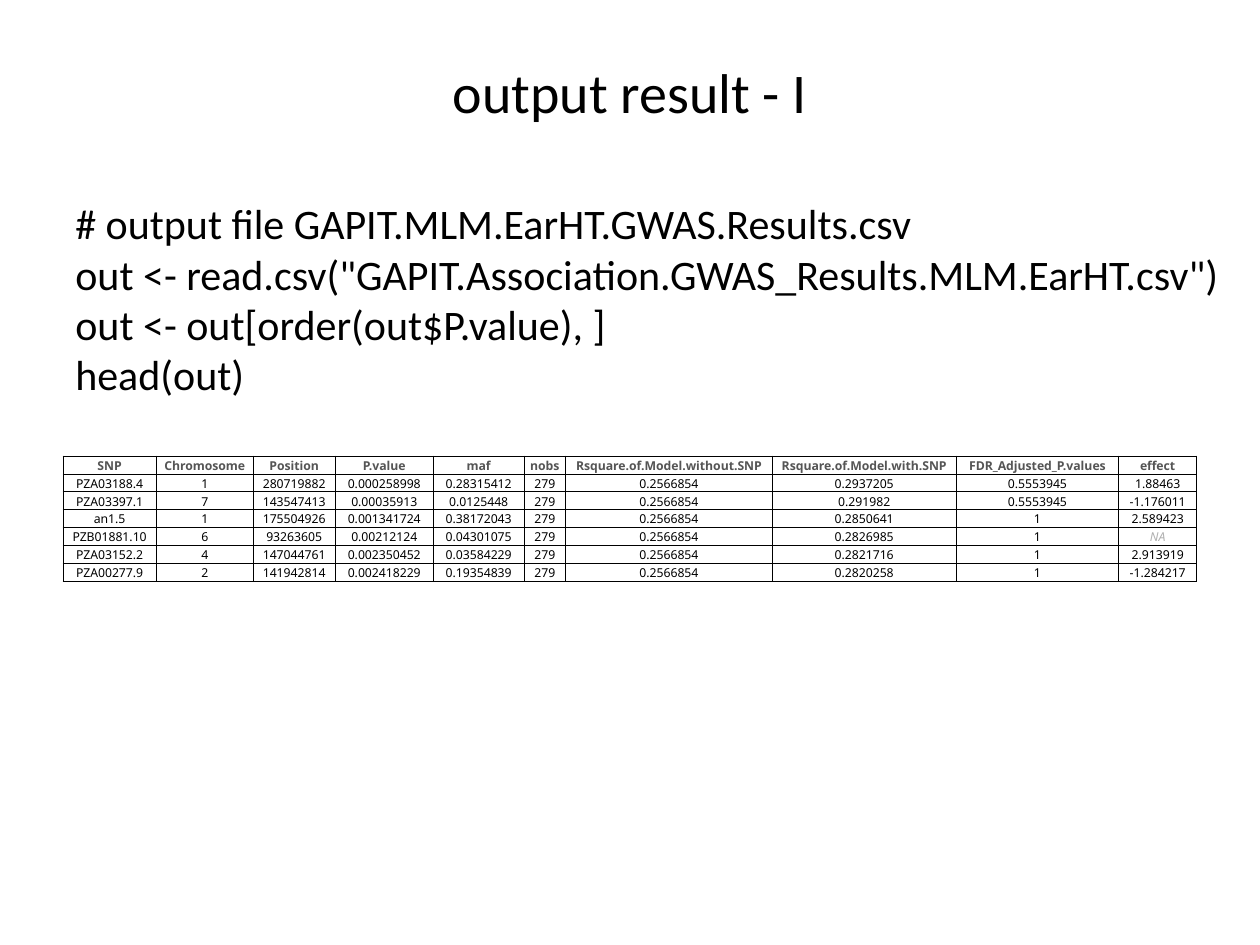
"""Build the slide that lists the top GWAS results."""
from dataclasses import dataclass

from lxml.etree import SubElement
from pptx import Presentation
from pptx.dml.color import RGBColor
from pptx.enum.text import MSO_ANCHOR as Anchor, MSO_AUTO_SIZE as AutoSize, PP_ALIGN as Align
from pptx.oxml.ns import qn
from pptx.util import Inches, Pt


@dataclass(frozen=True)
class TextStyle:
    """Font settings of one kind of text."""
    name: str
    size: float
    color: str = "000000"
    bold: bool = False
    italic: bool = False


@dataclass(frozen=True)
class Theme:
    """Type styles and line settings of the slide."""
    title: TextStyle = TextStyle("Calibri", 32)
    code: TextStyle = TextStyle("Calibri", 24)
    header: TextStyle = TextStyle("Noto Sans", 7, "555555", bold=True)
    value: TextStyle = TextStyle("Noto Sans", 7)
    missing: TextStyle = TextStyle("Noto Sans", 7, "B0B0B0", italic=True)
    border_color: str = "000000"
    border_width: float = 0.5


@dataclass(frozen=True)
class Column:
    """Heading and width in inches of a result column."""
    heading: str
    width: float


@dataclass(frozen=True)
class Box:
    """Position and size in inches."""
    left: float
    top: float
    width: float
    height: float

    def lengths(self) -> tuple:
        """Return left, top, width and height as lengths."""
        return tuple(map(Inches, (self.left, self.top, self.width, self.height)))


THEME = Theme()
TITLE_BOX = Box(0.5, 0.3, 9, 0.85)
CODE_BOX = Box(0.5, 1.52, 9.43, 1.72)
RESULTS_BOX = Box(0.5, 3.62, 9, 0.98)
CODE = (
    "# output file GAPIT.MLM.EarHT.GWAS.Results.csv",
    'out <- read.csv("GAPIT.Association.GWAS_Results.MLM.EarHT.csv")',
    "out <- out[order(out$P.value), ]",
    "head(out)",
)
COLUMNS = (
    Column("SNP", 0.74),
    Column("Chromosome", 0.77),
    Column("Position", 0.65),
    Column("P.value", 0.78),
    Column("maf", 0.72),
    Column("nobs", 0.33),
    Column("Rsquare.of.Model.without.SNP", 1.64),
    Column("Rsquare.of.Model.with.SNP", 1.46),
    Column("FDR_Adjusted_P.values", 1.29),
    Column("effect", 0.62),
)
RESULTS = """\
PZA03188.4 1 280719882 0.000258998 0.28315412 279 0.2566854 0.2937205 0.5553945 1.88463
PZA03397.1 7 143547413 0.00035913 0.0125448 279 0.2566854 0.291982 0.5553945 -1.176011
an1.5 1 175504926 0.001341724 0.38172043 279 0.2566854 0.2850641 1 2.589423
PZB01881.10 6 93263605 0.00212124 0.04301075 279 0.2566854 0.2826985 1 NA
PZA03152.2 4 147044761 0.002350452 0.03584229 279 0.2566854 0.2821716 1 2.913919
PZA00277.9 2 141942814 0.002418229 0.19354839 279 0.2566854 0.2820258 1 -1.284217"""


def assign(target, values: dict) -> None:
    """Set each named attribute of the target."""
    for attribute, value in values.items():
        setattr(target, attribute, value)


def write(paragraph, text: str, style: TextStyle, align: Align) -> None:
    """Fill a paragraph with one styled run."""
    paragraph.alignment = align
    run = paragraph.add_run()
    run.text = text
    assign(run.font, {"name": style.name, "size": Pt(style.size),
                      "bold": style.bold, "italic": style.italic})
    run.font.color.rgb = RGBColor.from_string(style.color)


def add_borders(cell) -> None:
    """Draw a thin line on all four sides of a cell."""
    properties = cell._tc.get_or_add_tcPr()
    for position, side in enumerate(("a:lnL", "a:lnR", "a:lnT", "a:lnB")):
        line = SubElement(properties, qn(side), w=str(Pt(THEME.border_width)))
        fill = SubElement(line, qn("a:solidFill"))
        SubElement(fill, qn("a:srgbClr"), val=THEME.border_color)
        properties.insert(position, line)


def add_title(slide, text: str) -> None:
    """Place and fill the title placeholder."""
    title = slide.shapes.title
    assign(title, dict(zip(("left", "top", "width", "height"), TITLE_BOX.lengths())))
    assign(title.text_frame, {"vertical_anchor": Anchor.MIDDLE, "auto_size": AutoSize.NONE})
    write(title.text_frame.paragraphs[0], text, THEME.title, Align.CENTER)


def add_results(slide, rows: list[list[str]]) -> None:
    """Add the result table under its column headings."""
    lines = [[column.heading for column in COLUMNS], *rows]
    table = slide.shapes.add_table(len(lines), len(COLUMNS), *RESULTS_BOX.lengths()).table
    assign(table, {"first_row": False, "horz_banding": False})
    for grid_column, column in zip(table.columns, COLUMNS):
        grid_column.width = Inches(column.width)
    for row_index, line in enumerate(lines):
        for column_index, text in enumerate(line):
            cell = table.cell(row_index, column_index)
            assign(cell, {"margin_left": Inches(0.01), "margin_right": Inches(0.01),
                          "margin_top": Inches(0.01), "margin_bottom": 0,
                          "vertical_anchor": Anchor.BOTTOM})
            cell.fill.background()
            add_borders(cell)
            body_style = THEME.missing if text == "NA" else THEME.value
            style = THEME.header if row_index == 0 else body_style
            write(cell.text_frame.paragraphs[0], text, style, Align.CENTER)


def add_code(slide, lines: tuple[str, ...]) -> None:
    """Add the R commands, one paragraph a line."""
    frame = slide.shapes.add_textbox(*CODE_BOX.lengths()).text_frame
    assign(frame, {"word_wrap": True, "auto_size": AutoSize.SHAPE_TO_FIT_TEXT})
    for index, line in enumerate(lines):
        paragraph = frame.add_paragraph() if index else frame.paragraphs[0]
        write(paragraph, line, THEME.code, Align.LEFT)


def main() -> None:
    """Build and save the slide."""
    deck = Presentation()
    assign(deck, {"slide_width": Inches(10), "slide_height": Inches(7.5)})
    slide = deck.slides.add_slide(deck.slide_layouts.get_by_name("Title Only"))
    add_title(slide, "output result - I")
    add_results(slide, [line.split() for line in RESULTS.splitlines()])
    add_code(slide, CODE)
    deck.save("out.pptx")


if __name__ == "__main__":
    main()
